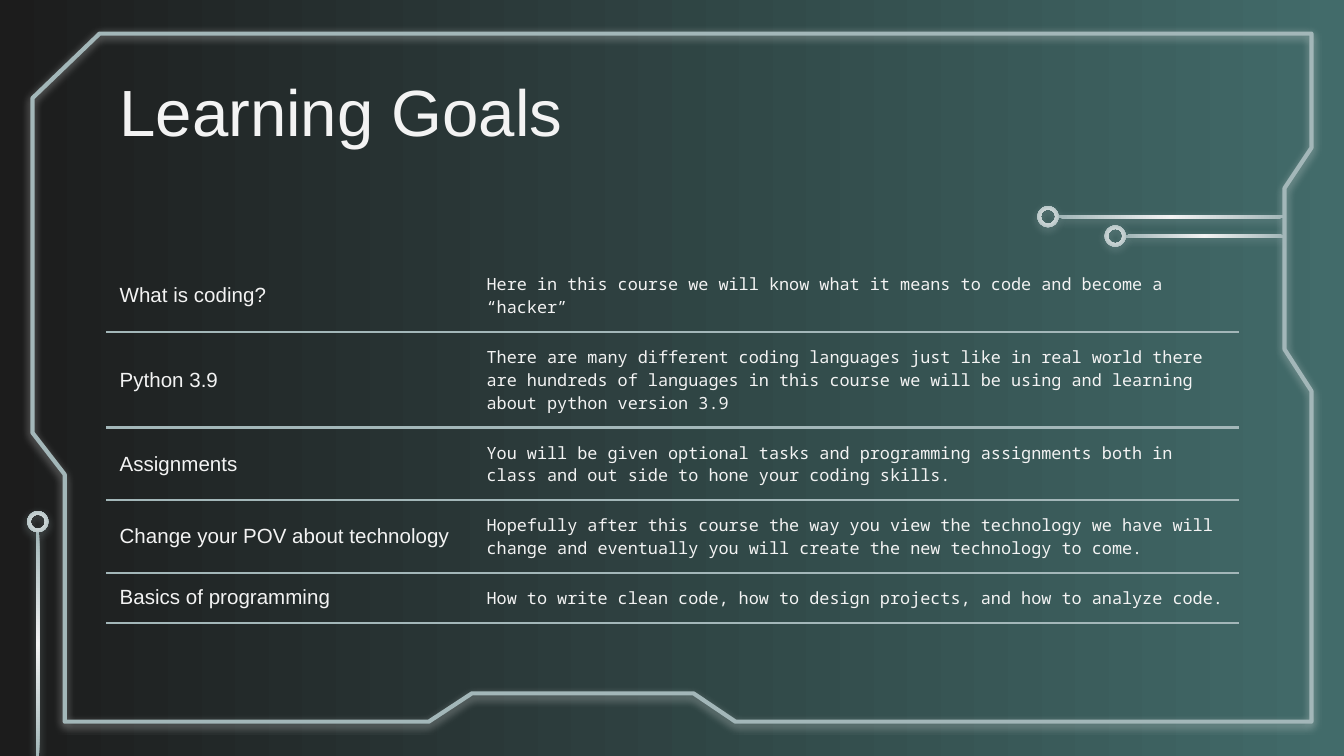
from lxml import etree
from pptx import Presentation
from pptx.dml import color
from pptx.enum import shapes, text
from pptx.oxml import ns
from pptx.util import Pt

LIGHT, EDGE = "F3F3F3", "A3B7B9"
RING, BAR = 11.3, 1.7
NO_GRID = "{2D5ABB26-0587-4C30-8999-92F81FD0307C}"
TITLE = {"size": Pt(35), "name": "Arial"}
TOPIC = {"size": Pt(11), "name": "Arial"}
DETAIL = {"size": Pt(9), "name": "Noto Sans Mono"}
CELL = {"vertical_anchor": text.MSO_ANCHOR.MIDDLE, "margin_left": Pt(7.2), "margin_right": Pt(7.2),
        "margin_top": Pt(7.2), "margin_bottom": Pt(7.2)}

GOALS = [
    ("What is coding?", "Here in this course we will know what it means to code and become a “hacker”"),
    ("Python 3.9", "There are many different coding languages just like in real world there are hundreds "
     "of languages in this course we will be using and learning about python version 3.9"),
    ("Assignments", "You will be given optional tasks and programming assignments both in class and "
     "out side to hone your coding skills."),
    ("Change your POV about technology", "Hopefully after this course the way you view the technology "
     "we have will change and eventually you will create the new technology to come."),
    ("Basics of programming", "How to write clean code, how to design projects, and how to analyze code."),
]


def rgb(value):
    return color.RGBColor.from_string(value)


def apply(target, formats):
    for name, value in formats.items():
        setattr(target, name, value)


def write(para, words, font):
    span = para.add_run()
    span.text = words
    apply(span.font, font)
    span.font.color.rgb = rgb(LIGHT)


def element(parent, tag, **attributes):
    return etree.SubElement(parent, ns.qn(tag), attributes)


def gradient(fill, colours):
    fill.gradient()
    for stop, colour, position in zip(fill.gradient_stops, colours, (0, 1)):
        stop.color.rgb = rgb(colour)
        stop.position = position


def glow(shape, colour):
    shape.shadow.inherit = False
    effects = shape.element.spPr.find(ns.qn("a:effectLst"))
    shadow = element(effects, "a:outerShdw", blurRad=str(Pt(4.5)), dist=str(Pt(1.5)),
                     dir="5400000", algn="bl", rotWithShape="0")
    element(element(shadow, "a:srgbClr", val=colour), "a:alpha", val="50000")


def add_frame(page, box):
    left, top, width, height = box
    corners = [(width, height), (376.6, height), (354.2, 353.5), (235.4, 353.5), (212.4, height),
               (17.3, height), (17.3, 236.2), (0, 213.8), (0, 34.6), (36, 0), (width, 0),
               (width, 61.2), (width - 14.4, 82.8), (width - 14.4, 169.2), (width, 191.5)]
    points = [(Pt(left + x), Pt(top + y)) for x, y in corners]
    builder = page.shapes.build_freeform(*points[0])
    builder.add_line_segments(points[1:], close=True)
    frame = builder.convert_to_shape()
    frame.fill.background()
    frame.line.color.rgb = rgb(EDGE)
    frame.line.width = Pt(2.25)
    glow(frame, LIGHT)


def add_metal(group, kind, centre, size, rotation):
    (x, y), (width, height) = centre, size
    shape = group.shapes.add_shape(kind, Pt(x - width / 2), Pt(y - height / 2), Pt(width), Pt(height))
    shape.rotation = rotation
    shape.line.fill.background()
    gradient(shape.fill, (LIGHT, EDGE))
    fill = shape.element.spPr.find(ns.qn("a:gradFill"))
    for linear in fill.findall(ns.qn("a:lin")):
        fill.remove(linear)
    sides = dict.fromkeys("ltrb", "50000")
    element(element(fill, "a:path", path="circle"), "a:fillToRect", **sides)
    glow(shape, EDGE)
    return shape


def add_circuit(page, box, starts, down=False):
    left, top, width, height = box
    rotation = 270 if down else 180
    group = page.shapes.add_group_shape()
    for along, across in starts:
        length = (height if down else width) - along - RING
        middle = along + RING + length / 2

        def place(run):
            return (left + across + RING / 2, top + run) if down else (left + run, top + across + RING / 2)

        add_metal(group, shapes.MSO_SHAPE.RECTANGLE, place(middle), (length, BAR), rotation)
        ring = add_metal(group, shapes.MSO_SHAPE.DONUT, place(along + RING / 2), (RING, RING), rotation)
        ring.adjustments[0] = 0.16


def add_title(page, box):
    frame = page.shapes.add_textbox(*map(Pt, box)).text_frame
    frame.word_wrap = True
    apply(frame, CELL)
    write(frame.paragraphs[0], "Learning Goals", TITLE)


def add_rule(cell, side):
    properties = cell._tc.get_or_add_tcPr()
    line = etree.Element(ns.qn(side), w=str(Pt(1.5)))
    element(element(line, "a:solidFill"), "a:srgbClr", val=EDGE)
    properties.insert(0, line)


def add_goals(page, box):
    rows = len(GOALS) + 1
    table = page.shapes.add_table(rows, 2, *map(Pt, box)).table
    apply(table, {"first_row": False, "horz_banding": False})
    table._tbl.tblPr.find(ns.qn("a:tableStyleId")).text = NO_GRID
    for column, width in zip(table.columns, (196.6, box[2] - 196.6)):
        column.width = Pt(width)
    for index, row in enumerate(table.rows):
        row.height = Pt(31 if index < 2 else 24.5)
        for column, font in enumerate((TOPIC, DETAIL)):
            cell = row.cells[column]
            apply(cell, CELL)
            cell.fill.background()
            if index < len(GOALS):
                write(cell.text_frame.paragraphs[0], GOALS[index][column], font)
                add_rule(cell, "a:lnB")
            else:
                apply(cell.text_frame.paragraphs[0].font, font)
                add_rule(cell, "a:lnT")


def main():
    deck = Presentation()
    apply(deck, {"slide_width": Pt(720), "slide_height": Pt(405)})
    page = deck.slides.add_slide(deck.slide_layouts[6])
    gradient(page.background.fill, ("1C1C1C", "426B6A"))
    page.background.fill.gradient_angle = 0
    add_frame(page, (17.4, 18, 685.2, 368.6))
    add_circuit(page, (14.6, 273.8, RING, 131.2), [(0, 0)], down=True)
    add_goals(page, (56.9, 139, 606.8, 160))
    add_circuit(page, (555.8, 110.4, 131.8, 21.8), [(0, 0), (36, 10.4)])
    add_title(page, (56.9, 42.5, 607, 33.8))
    deck.save("out.pptx")


if __name__ == "__main__":
    main()
